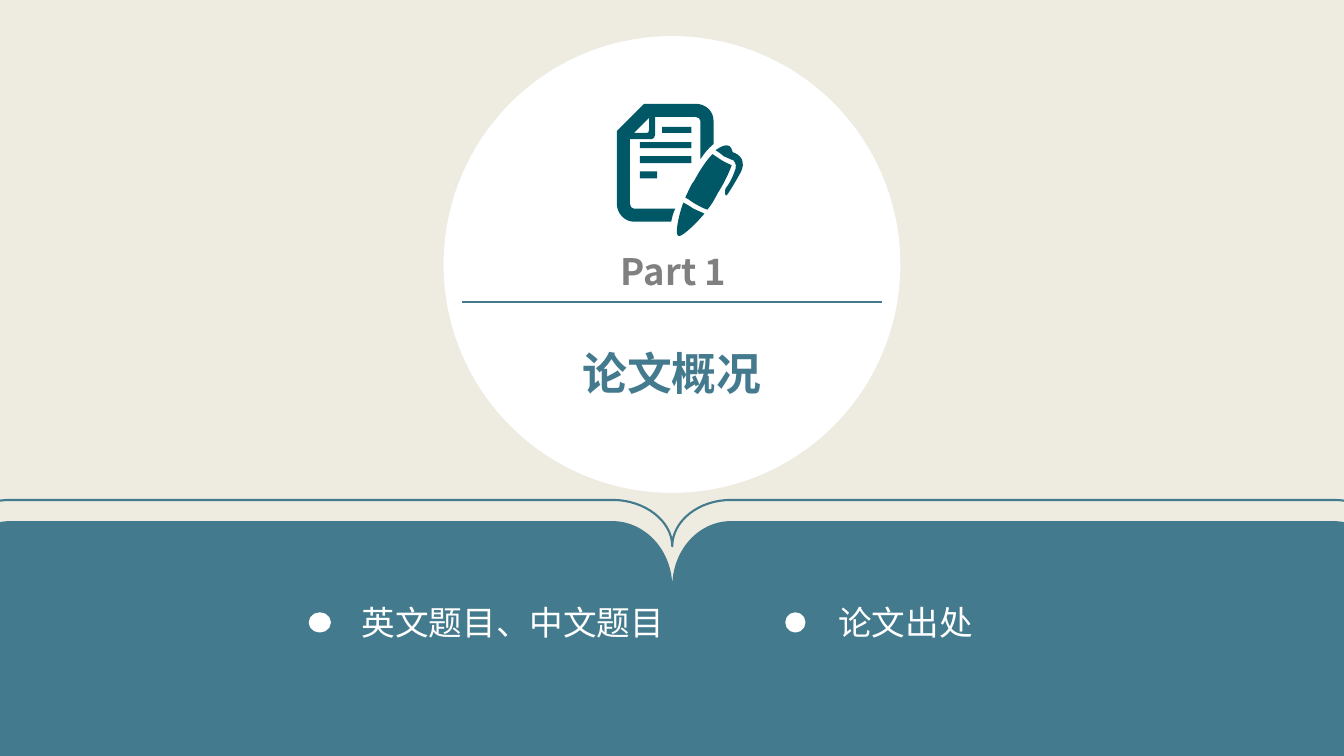
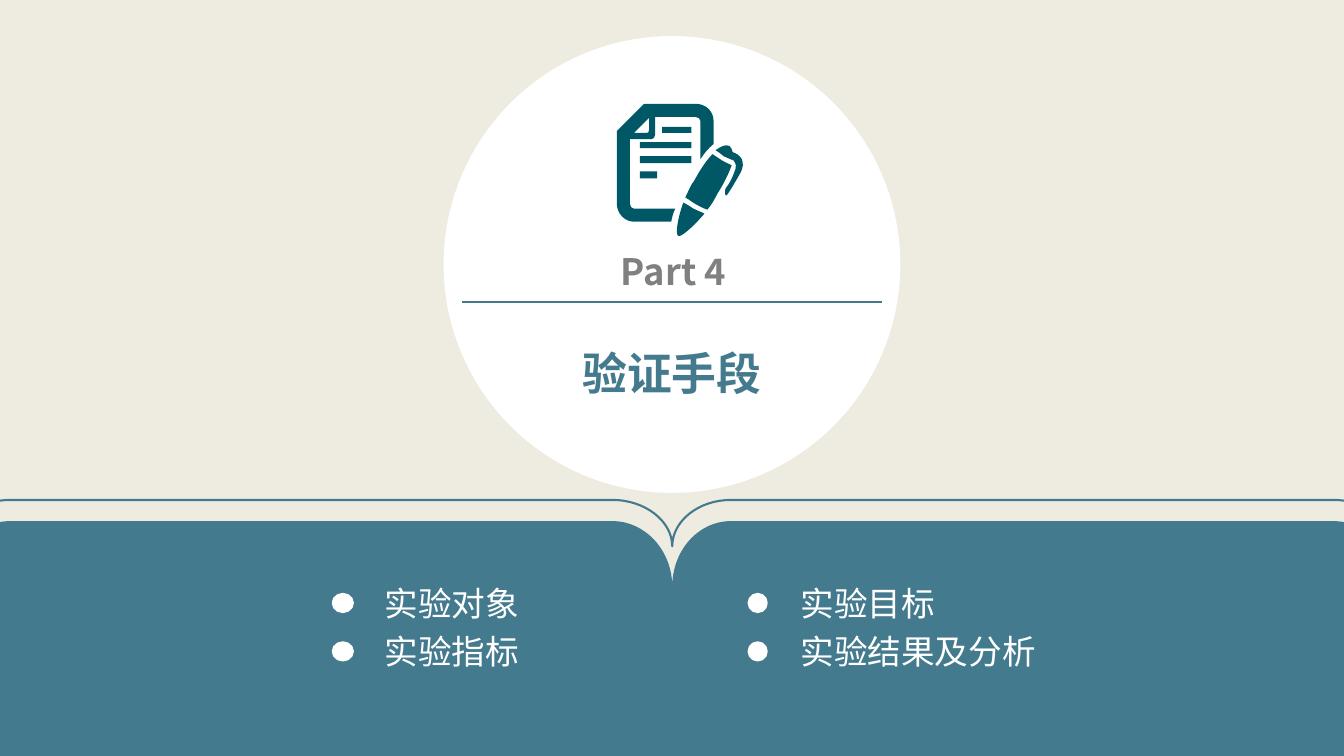
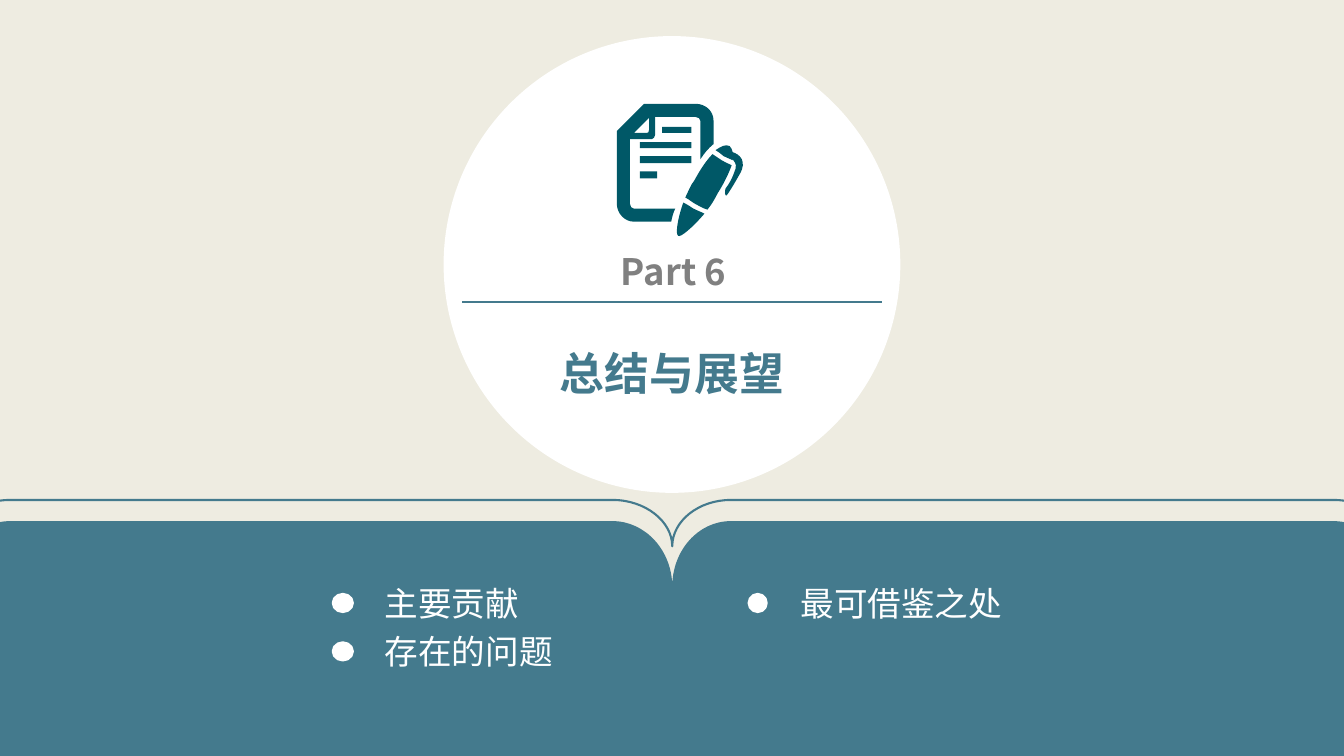
from lxml.etree import SubElement
from pptx import Presentation
from pptx.dml.color import RGBColor
from pptx.enum.shapes import MSO_CONNECTOR, MSO_SHAPE
from pptx.enum.text import MSO_ANCHOR, MSO_AUTO_SIZE, PP_ALIGN
from pptx.oxml.ns import qn
from pptx.util import Cm, Pt

# Each section: part label, title, top of the lists, then (left, items) per column
SECTIONS = [
    ("Part 1", "论文概况", 15.04,
     [(8.86, ["英文题目、中文题目"]), (20.87, ["论文出处"])]),
    ("Part 4", "验证手段", 14.55,
     [(9.44, ["实验对象", "实验指标"]), (19.92, ["实验目标", "实验结果及分析"])]),
    ("Part 6", "总结与展望", 14.55,
     [(9.44, ["主要贡献", "存在的问题"]), (19.92, ["最可借鉴之处"])]),
]

FONT = "Noto Sans CJK SC"
CREAM = RGBColor(0xEE, 0xEC, 0xE1)
TEAL = RGBColor(0x44, 0x7A, 0x8D)
DEEP_TEAL = RGBColor(0x00, 0x58, 0x67)
GREY = RGBColor(0x80, 0x80, 0x80)
WHITE = RGBColor(0xFF, 0xFF, 0xFF)

# Lists, in cm
LINE_HEIGHT = 1.27
LINE_PITCH = 1.22
ITEM_GAP = Pt(5.75)
COLUMN_WIDTHS = (9, 7.4)
DOT_WIDTHS = (0.48, 0.43)
DOT_HEIGHT = 0.43
DOT_INDENT = 1.04
DOT_DROP = 0.43

# Outlines are written in hundredths of an inch
OUTLINE_UNIT = Cm(2.54) / 100
ICON_LEFT, ICON_TOP = 612, 103
SHEET = ("M 27 0 L 78 0 C 88 0 96 7 96 17 L 96 40 C 90 45 87 49 83 55 L 83 17 "
         "C 83 15 81 13 78 13 L 38 13 L 38 31 C 38 33 36 35 35 35 L 13 35 L 13 99 "
         "C 13 102 15 104 17 104 L 58 104 C 56 108 55 112 54 117 L 17 117 "
         "C 8 117 0 109 0 99 L 0 27")
FOLD = "M 17 29 L 30 29 C 31 29 32 28 32 26 L 32 14"
PEN_CLIP = ("M 112 42 C 113 44 115 45 115 48 C 118 49 122 51 124 55 "
            "C 126 59 125 64 123 68 C 119 75 114 84 109 91 C 107 92 107 86 108 84 "
            "C 112 79 115 73 118 64 C 119 59 116 57 115 55 C 115 55 115 55 115 56 "
            "C 112 55 109 53 106 52 C 104 50 101 48 98 46 C 104 42 108 40 112 42")
PEN_BARREL = ("M 114 61 C 111 69 107 78 100 89 C 97 95 94 100 90 105 "
              "C 86 104 83 102 79 100 C 75 98 72 95 68 93 C 71 87 73 81 77 76 "
              "C 83 65 89 56 95 50 C 98 52 101 54 104 56 C 107 58 110 59 114 61")
PEN_NIB = ("M 87 109 C 75 123 63 133 61 131 C 58 130 60 115 66 98 "
           "C 70 100 73 102 76 104 C 80 106 83 107 87 109")
TEXT_LINES = [f"M {x1} {y1} L {x2} {y1} L {x2} {y2} L {x1} {y2}" for x1, y1, x2, y2 in
              [(45, 23, 74, 29), (23, 38, 74, 44), (23, 52, 74, 59), (23, 67, 40, 74)]]
ICON = [SHEET, PEN_CLIP, PEN_BARREL, PEN_NIB, *TEXT_LINES, FOLD]


def book_outline(top, bottom, corner):
    """Two facing pages with rounded corners that meet at the middle of the slide."""
    handle = round(corner * 0.45)
    high, high_end = top + handle, top + corner
    low, low_end = bottom - handle, bottom - corner
    return (f"M 10 {top} L 608 {top} C 640 {top} 667 {high} 667 {high_end} "
            f"C 667 {high} 693 {top} 725 {top} L 1323 {top} "
            f"C 1356 {top} 1382 {high} 1382 {high_end} L 1382 {low_end} "
            f"C 1382 {low} 1356 {bottom} 1323 {bottom} L 725 {bottom} "
            f"C 693 {bottom} 667 {low} 667 {low_end} "
            f"C 667 {low} 640 {bottom} 608 {bottom} L 10 {bottom} "
            f"C -22 {bottom} -49 {low} -49 {low_end} L -49 {high_end} "
            f"C -49 {high} -22 {top} 10 {top}")


def outline_points(outline, left, top):
    numbers = [int(token) for token in outline.split() if not token.isalpha()]
    return [((left + x) * OUTLINE_UNIT, (top + y) * OUTLINE_UNIT)
            for x, y in zip(numbers[::2], numbers[1::2])]


def bend_curves(shape, outlines):
    """Join the three straight steps drawn for each C command into one Bezier curve."""
    steps = iter(shape.element.xpath(".//a:moveTo | .//a:lnTo"))
    for command in filter(str.isalpha, " ".join(outlines).split()):
        step = next(steps)
        if command == "C":
            curve = step.makeelement(qn("a:cubicBezTo"))
            step.addprevious(curve)
            for part in (step, next(steps), next(steps)):
                curve.append(part[0])
                part.getparent().remove(part)


def paint(shape, fill=None, line=None, width=0):
    shape.shadow.inherit = False
    if fill is None:
        shape.fill.background()
    else:
        shape.fill.solid()
        shape.fill.fore_color.rgb = fill
    if line is None:
        shape.line.fill.background()
    else:
        shape.line.color.rgb = line
        shape.line.width = Pt(width)


def add_outline(shapes, outlines, left=0, top=0):
    first, *others = [outline_points(outline, left, top) for outline in outlines]
    builder = shapes.build_freeform(*first[0])
    builder.add_line_segments(first[1:], close=True)
    for points in others:
        builder.move_to(*points[0])
        builder.add_line_segments(points[1:], close=True)
    shape = builder.convert_to_shape()
    bend_curves(shape, outlines)
    return shape


def add_oval(shapes, left, top, width, height):
    return shapes.add_shape(MSO_SHAPE.OVAL, Cm(left), Cm(top), Cm(width), Cm(height))


def place(shape, left, top, width, height):
    shape.left, shape.top = Cm(left), Cm(top)
    shape.width, shape.height = Cm(width), Cm(height)


def add_run(paragraph, text, size, color, bold=False):
    run = paragraph.add_run()
    run.text = text
    run.font.name = FONT
    run.font.size = Pt(size)
    run.font.bold = bold
    run.font.color.rgb = color
    SubElement(run.font._element, qn("a:ea"), typeface=FONT)


def fit_text(frame, wrap=True):
    frame.word_wrap = wrap
    frame.auto_size = MSO_AUTO_SIZE.SHAPE_TO_FIT_TEXT
    frame.vertical_anchor = MSO_ANCHOR.TOP


def draw_backdrop(shapes):
    paint(add_outline(shapes, [book_outline(517, 824, 65)]), fill=TEAL)
    paint(add_outline(shapes, [book_outline(496, 714, 46)]), line=TEAL, width=1.5)
    paint(add_oval(shapes, 11.18, 0.91, 11.51, 11.51), fill=WHITE)
    paint(add_outline(shapes, ICON, ICON_LEFT, ICON_TOP), fill=DEEP_TEAL)
    divider = shapes.add_connector(MSO_CONNECTOR.STRAIGHT,
                                   Cm(11.65), Cm(7.61), Cm(22.23), Cm(7.61))
    divider.line.color.rgb = TEAL
    divider.line.width = Pt(1)
    SubElement(divider.element.spPr, qn("a:effectLst"))


def move_to_layout(shapes, layout):
    """Put the shapes behind the layout's placeholders, so every slide shows them."""
    front = layout.placeholders[0].element
    for number, shape in enumerate(shapes, start=100):
        shape.element.xpath(".//p:cNvPr")[0].set("id", str(number))
        front.addprevious(shape.element)


def fill_list(slide, body, items, left, top, width, dot_width):
    place(body, left, top, width, LINE_HEIGHT + LINE_PITCH * (len(items) - 1))
    frame = body.text_frame
    fit_text(frame)
    for row, item in enumerate(items):
        paragraph = frame.add_paragraph() if row else frame.paragraphs[0]
        paragraph.space_before = ITEM_GAP if row else Pt(0)
        properties = paragraph._p.get_or_add_pPr()
        properties.set("marL", "0")
        properties.set("indent", "0")
        SubElement(properties, qn("a:buNone"))
        add_run(paragraph, item, 24, WHITE)
        dot = add_oval(slide.shapes, left - DOT_INDENT, top + DOT_DROP + row * LINE_PITCH,
                       dot_width, DOT_HEIGHT)
        paint(dot, fill=WHITE, line=WHITE, width=2.25)


def fill_section(slide, label, heading, list_top, columns):
    title, *bodies = slide.placeholders
    fit_text(title.text_frame)
    title_line = title.text_frame.paragraphs[0]
    title_line.alignment = PP_ALIGN.CENTER
    add_run(title_line, heading, 32, TEAL, bold=True)

    part = slide.shapes.add_textbox(Cm(15.65), Cm(6.27), Cm(2.77), Cm(1.12)).text_frame
    part.margin_left = part.margin_top = part.margin_right = part.margin_bottom = 0
    fit_text(part, wrap=False)
    add_run(part.paragraphs[0], label, 26, GREY, bold=True)

    for body, (left, items), width, dot_width in zip(bodies, columns, COLUMN_WIDTHS, DOT_WIDTHS):
        fill_list(slide, body, items, left, list_top, width, dot_width)


def main():
    deck = Presentation()
    deck.slide_width, deck.slide_height = Cm(33.87), Cm(19.05)
    background = deck.slide_master.background.fill
    background.solid()
    background.fore_color.rgb = CREAM

    layout = deck.slide_layouts.get_by_name("Two Content")
    for placeholder in list(layout.placeholders):
        if placeholder.placeholder_format.idx >= 10:
            placeholder.element.getparent().remove(placeholder.element)
    place(layout.placeholders[0], 12.54, 8.59, 8.79, 1.63)

    slides = [deck.slides.add_slide(layout) for _ in SECTIONS]
    draw_backdrop(slides[0].shapes)
    move_to_layout([shape for shape in slides[0].shapes if not shape.is_placeholder], layout)
    for slide, section in zip(slides, SECTIONS):
        fill_section(slide, *section)
    deck.save("out.pptx")


if __name__ == "__main__":
    main()
